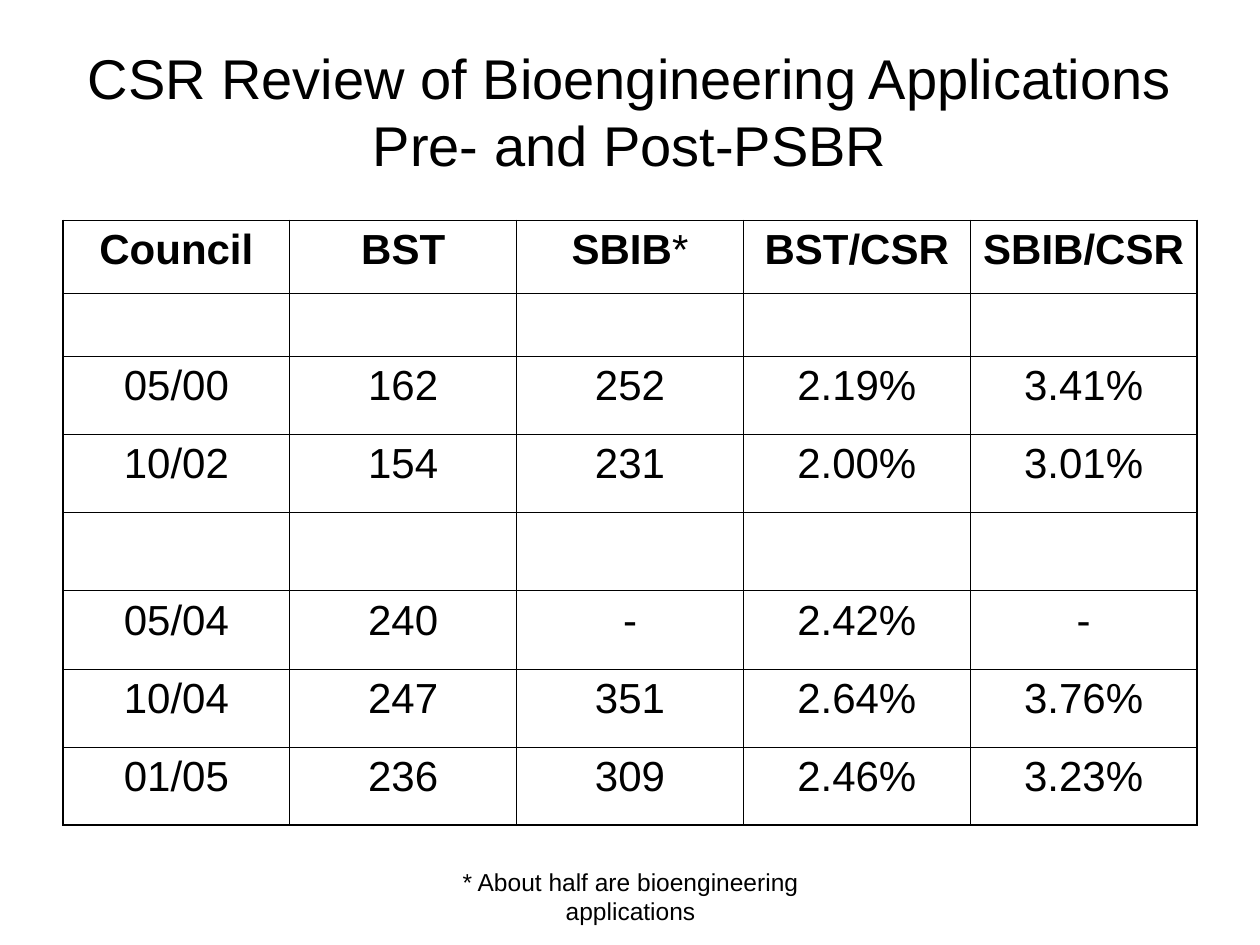
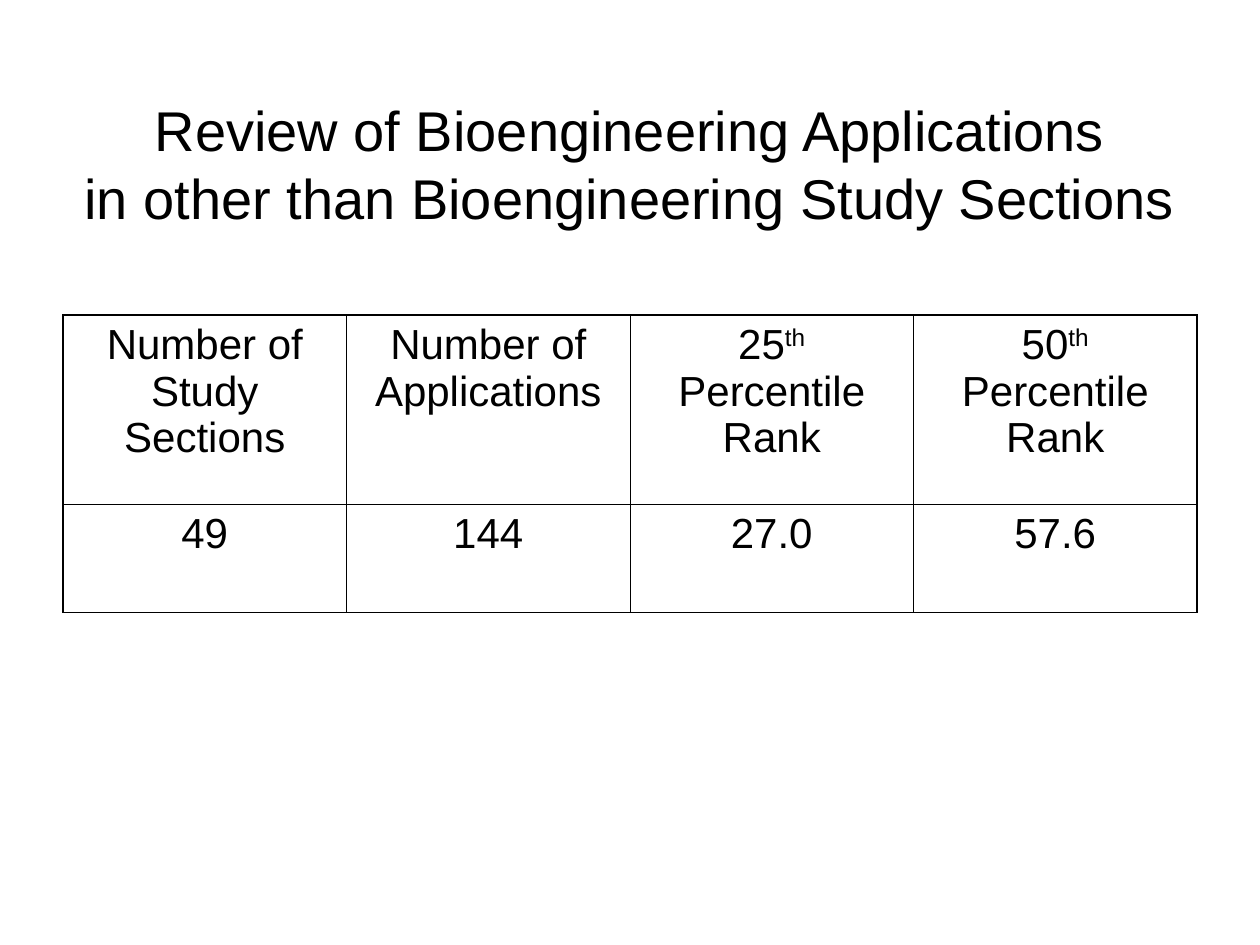
"""Build two slides on the review of bioengineering applications."""
from dataclasses import dataclass

from lxml import etree
from pptx import Presentation
from pptx import util as u
from pptx.dml.color import RGBColor
from pptx.enum import text
from pptx.oxml import ns

COLORS = {"ink": "000000", "paper": "FFFFFF"}
FONT = "Arial"
TITLE_SIZE, CELL_SIZE, NOTE_SIZE = 32, 24, 14
OUTER_LINE, INNER_LINE = 1.08, 0.45
LEFT, WIDTH, TITLE_HEIGHT = u.Inches(0.5), u.Inches(9), u.Inches(1.25)


@dataclass(frozen=True)
class Span:
    """A piece of text with its own weight and baseline."""
    text: str
    bold: bool = False
    superscript: bool = False


@dataclass(frozen=True)
class TableSlide:
    """A titled slide that holds one table."""
    title: str
    title_top: float
    table_top: float
    heights: list[float]
    rows: list[list]
    bold_header: bool = False


def write(tf, content, *, size: int, bold: bool = False) -> None:
    """Fill a text frame with centred text or a list of spans."""
    spans = [Span(content, bold)] if isinstance(content, str) else content
    p = tf.paragraphs[0]
    p.alignment = text.PP_ALIGN.CENTER
    p.font.size = u.Pt(size)
    for span in spans:
        for i, line in enumerate(span.text.split("\n")):
            if i:
                p.add_line_break()
            r = p.add_run()
            r.text = line
            r.font.name = FONT
            r.font.size = u.Pt(size)
            r.font.bold = span.bold
            r.font.color.rgb = RGBColor.from_string(COLORS["ink"])
            if span.superscript:
                r._r.get_or_add_rPr().set("baseline", "30000")


def add_border(cell, side: str, points: float) -> None:
    """Draw one side of a cell."""
    ln = etree.SubElement(cell._tc.get_or_add_tcPr(), ns.qn(f"a:ln{side}"),
                          w=str(int(u.Pt(points))))
    fill = etree.SubElement(ln, ns.qn("a:solidFill"))
    etree.SubElement(fill, ns.qn("a:srgbClr"), val=COLORS["ink"])


def add_table(slide, spec: TableSlide) -> None:
    """Add a ruled table with a heavier outer frame."""
    n_rows, n_cols = len(spec.rows), len(spec.rows[0])
    table = slide.shapes.add_table(
        n_rows, n_cols, LEFT, u.Inches(spec.table_top), WIDTH,
        u.Inches(sum(spec.heights))).table
    table.first_row = table.horz_banding = False
    for row, height in zip(table.rows, spec.heights):
        row.height = u.Inches(height)
    for i, values in enumerate(spec.rows):
        for j, value in enumerate(values):
            cell = table.cell(i, j)
            edges = {"L": j == 0, "R": j == n_cols - 1,
                     "T": i == 0, "B": i == n_rows - 1}
            for side, outer in edges.items():
                add_border(cell, side, OUTER_LINE if outer else INNER_LINE)
            cell.fill.background()
            if value:
                write(cell.text_frame, value, size=CELL_SIZE,
                      bold=spec.bold_header and i == 0)


def add_table_slide(prs, spec: TableSlide):
    """Add a slide with its title and table."""
    slide = prs.slides.add_slide(prs.slide_layouts[5])
    slide.background.fill.solid()
    slide.background.fill.fore_color.rgb = RGBColor.from_string(COLORS["paper"])
    sp = slide.shapes.title
    sp.left, sp.top = LEFT, u.Inches(spec.title_top)
    sp.width, sp.height = WIDTH, TITLE_HEIGHT
    tf = sp.text_frame
    tf.auto_size = text.MSO_AUTO_SIZE.NONE
    tf.vertical_anchor = text.MSO_ANCHOR.MIDDLE
    write(tf, spec.title, size=TITLE_SIZE)
    add_table(slide, spec)
    return slide


def add_footnote(slide, content: str) -> None:
    """Add a centred note below the table."""
    sp = slide.shapes.add_textbox(u.Inches(3.42), u.Inches(6.83),
                                  u.Inches(3.17), u.Inches(0.52))
    sp.text_frame.word_wrap = True
    write(sp.text_frame, content, size=NOTE_SIZE)


def percentile(rank: str) -> list[Span]:
    """Return a percentile heading with a raised ordinal."""
    return [Span(rank), Span("th", superscript=True), Span(" Percentile Rank")]


COUNCILS = TableSlide(
    "CSR Review of Bioengineering Applications\nPre- and Post-PSBR",
    0.25, 1.75, [0.58, 0.5] + [0.62] * 6,
    [
        ["Council", "BST", [Span("SBIB", bold=True), Span("*")], "BST/CSR", "SBIB/CSR"],
        [""] * 5,
        ["05/00", "162", "252", "2.19%", "3.41%"],
        ["10/02", "154", "231", "2.00%", "3.01%"],
        [""] * 5,
        ["05/04", "240", "-", "2.42%", "-"],
        ["10/04", "247", "351", "2.64%", "3.76%"],
        ["01/05", "236", "309", "2.46%", "3.23%"],
    ],
    bold_header=True)

OTHER_SECTIONS = TableSlide(
    "Review of Bioengineering Applications\n"
    "in other than Bioengineering Study Sections",
    0.67, 2.5, [1.5, 0.86],
    [
        ["Number of Study Sections", "Number of Applications",
         percentile("25"), percentile("50")],
        ["49", "144", "27.0", "57.6"],
    ])


def main() -> None:
    """Build and save the presentation."""
    prs = Presentation()
    prs.slide_width, prs.slide_height = u.Inches(10), u.Inches(7.5)
    councils = add_table_slide(prs, COUNCILS)
    add_footnote(councils, "* About half are bioengineering applications")
    add_table_slide(prs, OTHER_SECTIONS)
    prs.save("out.pptx")


if __name__ == "__main__":
    main()
